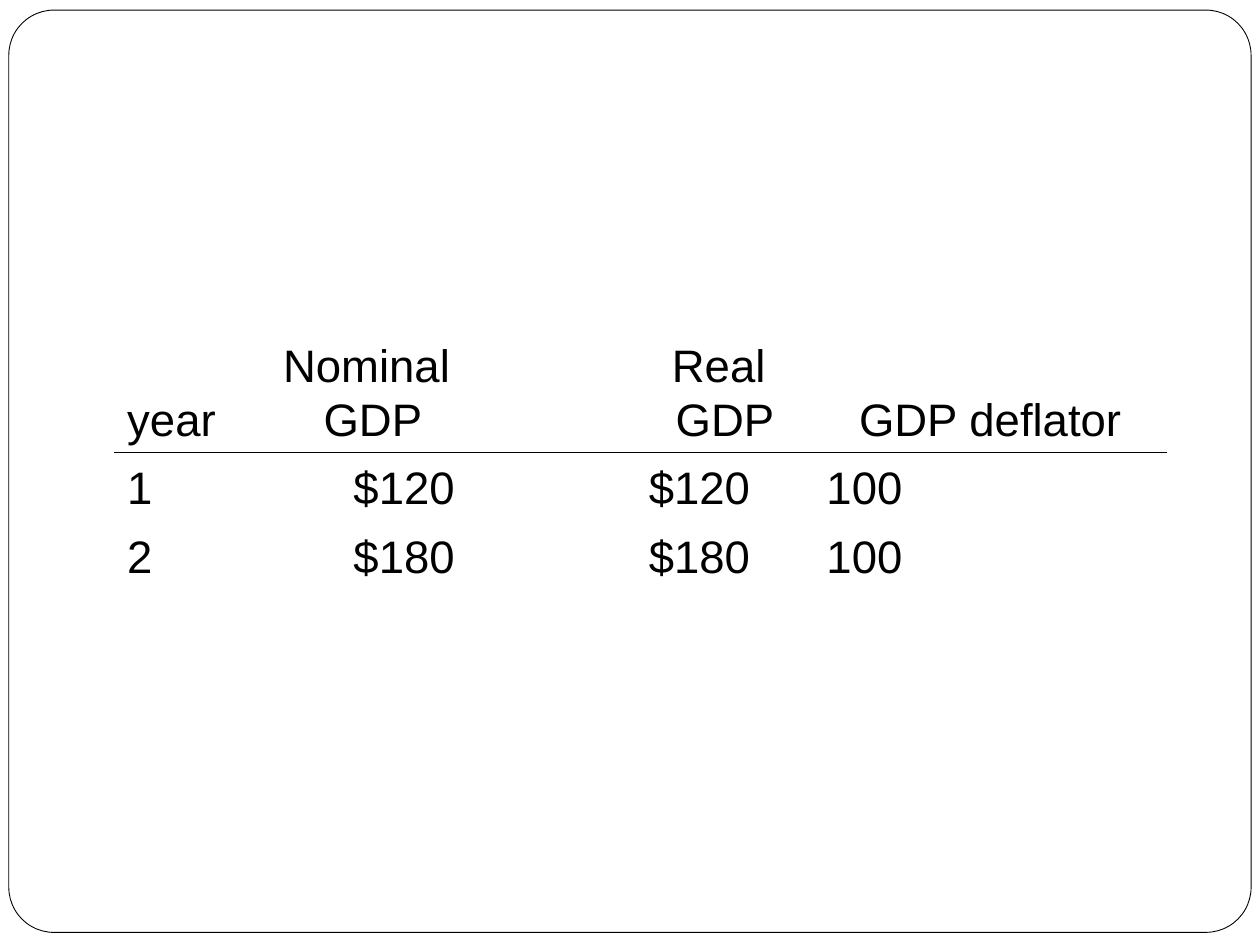
from lxml import etree
from pptx import Presentation
from pptx.dml.color import RGBColor
from pptx.enum.shapes import MSO_SHAPE
from pptx.enum.text import MSO_ANCHOR, PP_ALIGN
from pptx.oxml.ns import qn
from pptx.util import Inches, Pt

ROUNDED = MSO_SHAPE.ROUNDED_RECTANGLE
LEFT, CENTER, RIGHT = PP_ALIGN.LEFT, PP_ALIGN.CENTER, PP_ALIGN.RIGHT
BOTTOM, MIDDLE = MSO_ANCHOR.BOTTOM, MSO_ANCHOR.MIDDLE


def color(value):
    return RGBColor.from_string(value)


class SlideBuilder:
    font, size, ink, paper = "Arial", 26, "000000", "FFFFFF"
    line_spacing = 1.05

    def __init__(self, page):
        self.page = page

    def frame(self, left, top, width, height, rounding):
        shape = self.page.shapes.add_shape(
            ROUNDED, Inches(left), Inches(top), Inches(width), Inches(height))
        shape.adjustments[0] = rounding
        shape.shadow.inherit = False
        shape.fill.solid()
        shape.fill.fore_color.rgb = color(self.paper)
        shape.line.color.rgb = color(self.ink)
        shape.line.width = Pt(0.5)

    def table(self, left, top, widths, heights):
        table = self.page.shapes.add_table(
            len(heights), len(widths), Inches(left), Inches(top),
            Inches(sum(widths)), Inches(sum(heights))).table
        table.first_row = table.horz_banding = False
        for column, width in zip(table.columns, widths):
            column.width = Inches(width)
        for row, height in zip(table.rows, heights):
            row.height = Inches(height)
        for cell in table.iter_cells():
            cell.fill.background()
        return table

    def cell_text(self, cell, text, align, anchor):
        cell.vertical_anchor = anchor
        para = cell.text_frame.paragraphs[0]
        para.text = text
        para.alignment = align
        para.line_spacing = self.line_spacing
        for span in para.runs:
            span.font.name = self.font
            span.font.size = Pt(self.size)
            span.font.color.rgb = color(self.ink)

    def cell_border(self, cell, side, width=1):
        border = etree.Element(qn(f"a:{side}"), w=str(Pt(width)))
        fill = etree.SubElement(border, qn("a:solidFill"))
        etree.SubElement(fill, qn("a:srgbClr"), val=self.ink)
        # Borders come before the fill in the cell properties
        cell._tc.get_or_add_tcPr().insert(0, border)


def main():
    deck = Presentation()
    deck.slide_width, deck.slide_height = Inches(10), Inches(7.5)
    builder = SlideBuilder(deck.slides.add_slide(deck.slide_layouts[6]))

    # Rounded page frame
    builder.frame(0.07, 0.08, 9.86, 7.32, 0.049)

    # GDP table; the third column is an empty spacer
    rows = [
        ["year", "Nominal \nGDP", "", "Real \nGDP", "GDP deflator"],
        ["1", "$120", "", "$120", "100"],
        ["2", "$180", "", "$180", "100"],
    ]
    header_align = [LEFT, CENTER, CENTER, CENTER, CENTER]
    body_align = [LEFT, RIGHT, LEFT, LEFT, LEFT]
    table = builder.table(0.91, 2.57, [1.15, 1.8, 1.19, 1.41, 2.8], [1.02, 0.55, 0.55])
    for row_index, texts in enumerate(rows):
        header = row_index == 0
        for column_index, text in enumerate(texts):
            cell = table.cell(row_index, column_index)
            align = (header_align if header else body_align)[column_index]
            if text:
                builder.cell_text(cell, text, align, BOTTOM if header else MIDDLE)
            if align == RIGHT:
                cell.margin_right = Inches(0.25)

    # Rule between the header and the values
    for column_index in range(len(table.columns)):
        builder.cell_border(table.cell(0, column_index), "lnB")
        builder.cell_border(table.cell(1, column_index), "lnT")

    deck.save("out.pptx")


if __name__ == "__main__":
    main()
